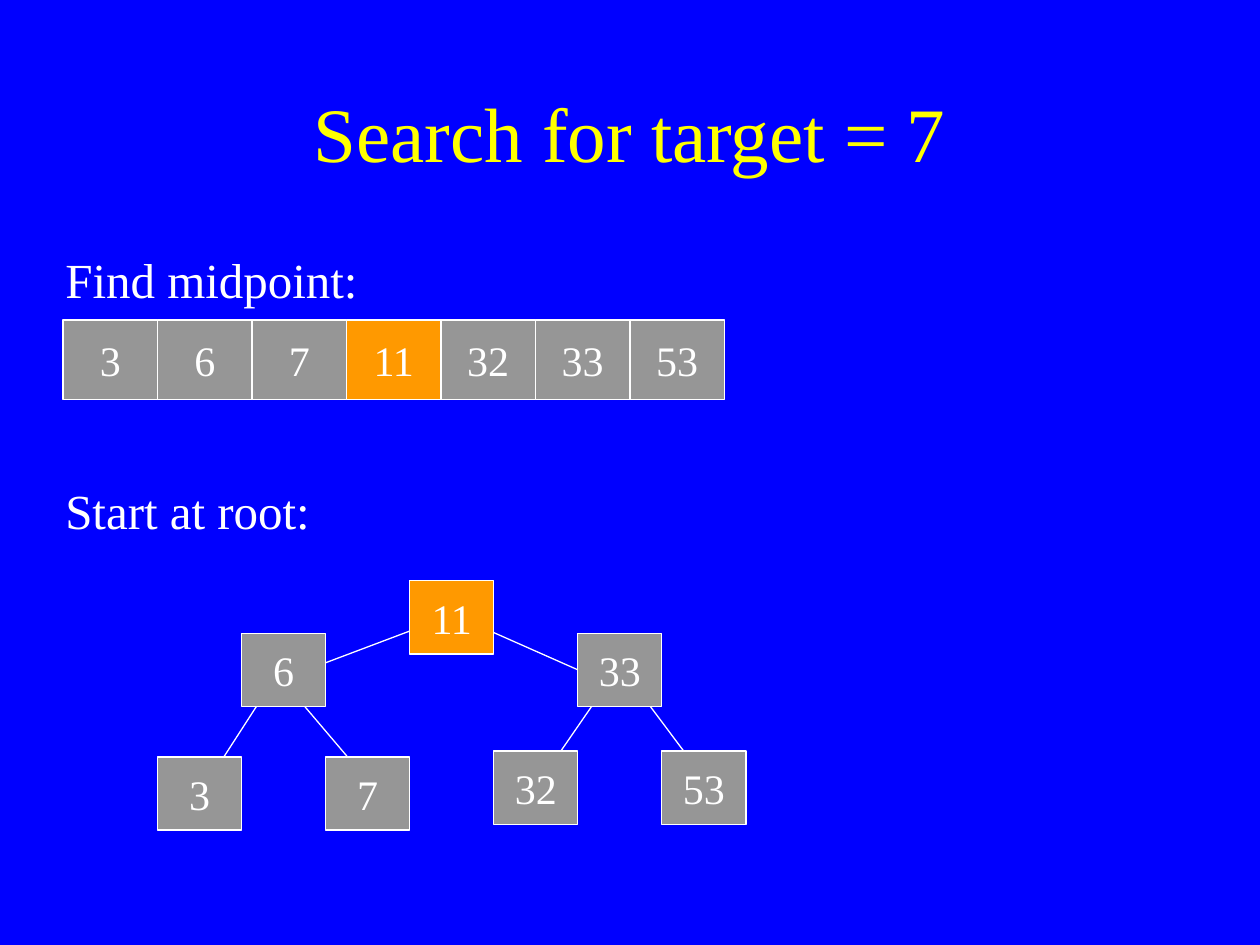
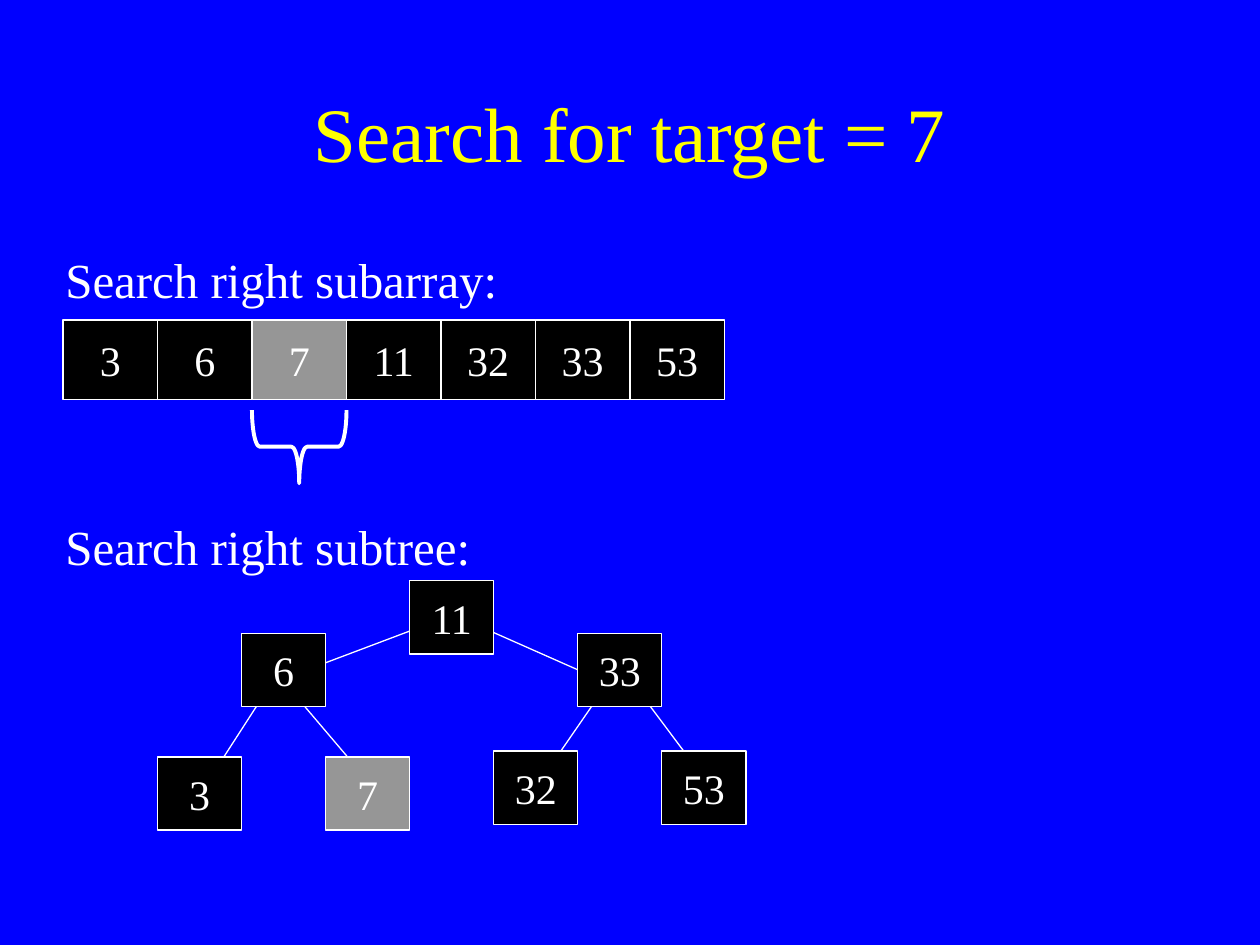
from collections import namedtuple
from lxml import etree
from pptx import Presentation
from pptx.dml.color import RGBColor
from pptx.enum.shapes import MSO_CONNECTOR as Connector, MSO_SHAPE as Preset
from pptx.enum.text import MSO_ANCHOR as Anchor, PP_ALIGN as Align
from pptx.oxml.ns import qn
from pptx.util import Inches, Pt

BLUE = RGBColor(0x00, 0x00, 0xFF)
YELLOW = RGBColor(0xFF, 0xFF, 0x00)
WHITE = RGBColor(0xFF, 0xFF, 0xFF)
BLACK = RGBColor(0x00, 0x00, 0x00)
GRAY = RGBColor(0x96, 0x96, 0x96)
ORANGE = RGBColor(0xFF, 0x99, 0x00)
FONT = "Times New Roman"
THIN, THICK = Pt(0.75), Pt(2.25)

Box = namedtuple("Box", "left top width height")
TITLE_BOX = Box(0.75, 0.42, 8.5, 1.25)
ARRAY_BOX = Box(0.5, 2.54, 5.25, 0.63)
TREE_BOX = Box(1.25, 4.61, 4.67, 1.98)
CAPTION_LEFT, CAPTION_HEIGHT = 0.42, 3.37

VALUES = [3, 6, 7, 11, 32, 33, 53]
NODE_HEIGHT = 0.58
NODE_ROWS = [2.41, 0.72, 2.41, 0, 2.33, 0.72, 2.33]
EDGES = [
    ((3.27, 0.57), (1.68, 1.26)),
    ((3.73, 0.57), (5.32, 1.38)),
    ((1.30, 1.50), (0.66, 2.64)),
    ((1.59, 1.50), (2.52, 2.76)),
    ((5.50, 1.16), (4.48, 2.86)),
    ((5.50, 1.16), (6.54, 2.76)),
]


def inches(box):
    return [Inches(length) for length in box]


def write(shape, text, size, color, align, anchor, wrap):
    frame = shape.text_frame
    frame.word_wrap = wrap
    frame.vertical_anchor = anchor
    frame.text = text
    paragraph = frame.paragraphs[0]
    paragraph.alignment = align
    font = paragraph.runs[0].font
    font.name, font.size, font.color.rgb = FONT, Pt(size), color


def add_title(slide, box, text):
    shape = slide.shapes.add_textbox(*inches(box))
    write(shape, text, 44, YELLOW, Align.CENTER, Anchor.MIDDLE, True)


def add_caption(slide, box, text, wrap):
    shape = slide.shapes.add_textbox(*inches(box))
    shape.text_frame.margin_top = Inches(0.1)
    write(shape, text, 28, WHITE, Align.LEFT, Anchor.TOP, wrap)


def add_number(slide, box, value, color):
    shape = slide.shapes.add_shape(Preset.RECTANGLE, *inches(box))
    shape.shadow.inherit = False
    shape.fill.solid()
    shape.fill.fore_color.rgb = color
    shape.line.color.rgb = WHITE
    shape.line.width = THIN
    write(shape, str(value), 24, WHITE, Align.CENTER, Anchor.MIDDLE, False)


def add_edge(slide, start, end):
    edge = slide.shapes.add_connector(Connector.STRAIGHT, *inches(start + end))
    edge.line.color.rgb = WHITE
    edge.line.width = THIN
    etree.SubElement(edge._element.spPr, qn("a:effectLst"))


def add_array(slide, box, colors):
    cell_width = box.width / len(VALUES)
    for column, (value, color) in enumerate(zip(VALUES, colors)):
        cell = Box(box.left + column * cell_width, box.top, cell_width, box.height)
        add_number(slide, cell, value, color)


def add_tree(slide, box, colors):
    node_width = box.width / len(VALUES)

    def place(column, row):
        return box.left + column * node_width, box.top + row * NODE_HEIGHT

    for start, end in EDGES:
        add_edge(slide, place(*start), place(*end))
    for column, (value, row, color) in enumerate(zip(VALUES, NODE_ROWS, colors)):
        node = Box(*place(column, row), node_width, NODE_HEIGHT)
        add_number(slide, node, value, color)


def add_brace(slide, array_box, column):
    span, depth = array_box.width / len(VALUES), 0.58
    center = array_box.left + (column + 0.5) * span
    box = Box(center - depth / 2, array_box.top + array_box.height, depth, span)
    brace = slide.shapes.add_shape(Preset.LEFT_BRACE, *inches(box))
    brace.rotation = 270
    brace.adjustments[0] = 0.107
    brace.shadow.inherit = False
    brace.fill.background()
    brace.line.color.rgb = WHITE
    brace.line.width = THICK


def add_search_slide(presentation, array_caption, tree_caption, tree_caption_top,
                     tree_caption_width, base, highlight):
    slide = presentation.slides.add_slide(presentation.slide_layouts[6])
    slide.background.fill.solid()
    slide.background.fill.fore_color.rgb = BLUE
    colors = [highlight.get(value, base) for value in VALUES]
    add_title(slide, TITLE_BOX, "Search for target = 7")
    add_caption(slide, Box(CAPTION_LEFT, tree_caption_top, tree_caption_width,
                           CAPTION_HEIGHT), tree_caption, False)
    add_caption(slide, Box(CAPTION_LEFT, 1.88, 6.92, CAPTION_HEIGHT),
                array_caption, True)
    add_array(slide, ARRAY_BOX, colors)
    add_tree(slide, TREE_BOX, colors)
    return slide


def main():
    presentation = Presentation()
    presentation.slide_width, presentation.slide_height = Inches(10), Inches(7.5)
    add_search_slide(presentation, "Find midpoint:", "Start at root:",
                     3.71, 2.14, GRAY, {11: ORANGE})
    subarray_slide = add_search_slide(
        presentation, "Search right subarray:", "Search right subtree:",
        4, 3.42, BLACK, {7: GRAY})
    add_brace(subarray_slide, ARRAY_BOX, VALUES.index(7))
    presentation.save("out.pptx")


if __name__ == "__main__":
    main()
